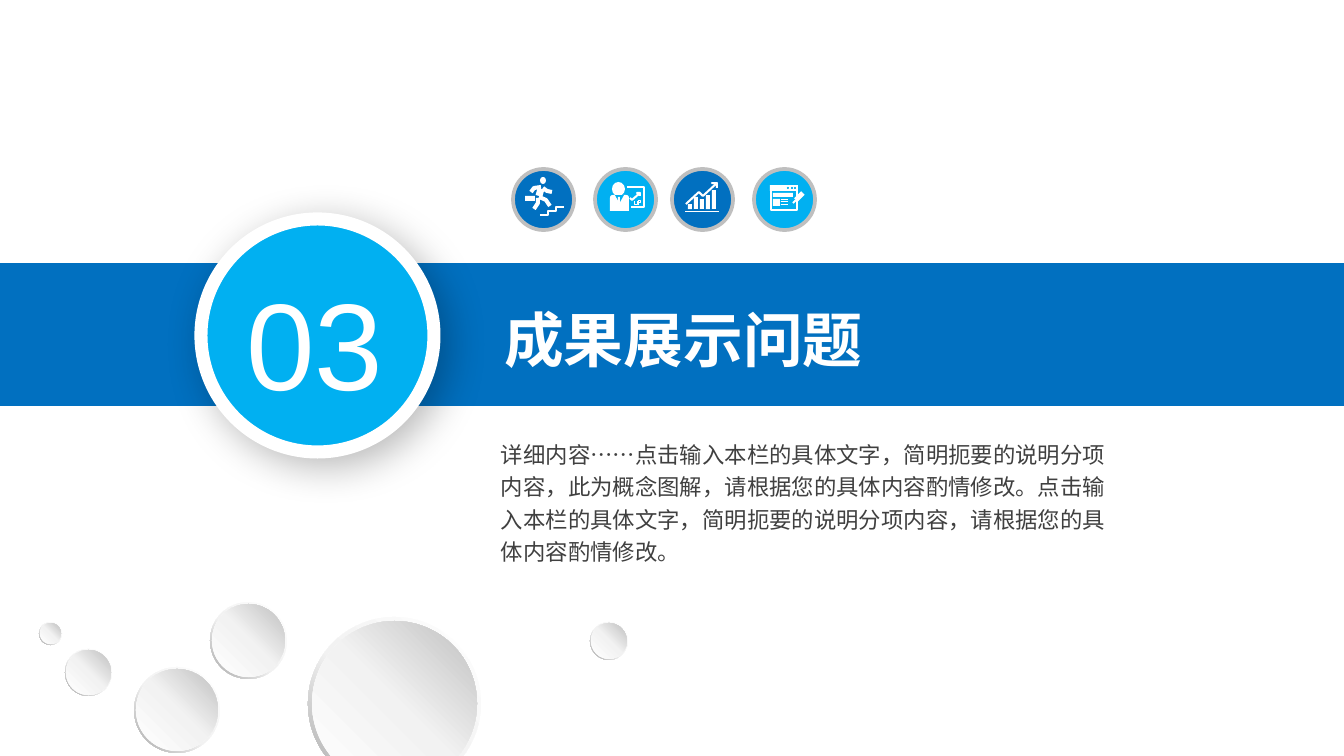
from lxml import etree
from pptx import Presentation
from pptx.dml.color import RGBColor
from pptx.enum.shapes import MSO_SHAPE
from pptx.enum.text import MSO_ANCHOR, MSO_AUTO_SIZE, PP_ALIGN
from pptx.oxml import parse_xml
from pptx.oxml.ns import nsdecls, qn
from pptx.util import Pt

RECT, OVAL, DONUT = MSO_SHAPE.RECTANGLE, MSO_SHAPE.OVAL, MSO_SHAPE.DONUT
ROUND, WEDGE = MSO_SHAPE.ROUND_2_SAME_RECTANGLE, MSO_SHAPE.FLOWCHART_MERGE
TOP, NONE = MSO_ANCHOR.TOP, MSO_AUTO_SIZE.NONE
LEFT, CENTER = PP_ALIGN.LEFT, PP_ALIGN.CENTER
PX = 6804
HUES = {"blue": "0170C0", "sky": "01B0F1", "white": "FFFFFF", "pale": "F2F2F2",
        "ring": "BFBFBF", "edge": "A6A6A6", "text": "404040", "black": "000000"}


def draw(host, kind, box, hue, line=None, width=0):
    shape = host.add_shape(kind, *[n * PX for n in box])
    shape.shadow.inherit = False
    shape.fill.solid()
    shape.fill.fore_color.rgb = RGBColor.from_string(HUES[hue])
    if line:
        shape.line.color.rgb = RGBColor.from_string(HUES[line])
        shape.line.width = Pt(width)
    else:
        shape.line.fill.background()
    return shape


def write(shape, box, text, hue, pad, align, space, font):
    shape.left, shape.top, shape.width, shape.height = [n * PX for n in box]
    frame = shape.text_frame
    frame.text = text
    form = {"word_wrap": True, "auto_size": NONE, "vertical_anchor": TOP,
            "margin_left": pad[0] * PX, "margin_right": pad[0] * PX,
            "margin_top": pad[1] * PX, "margin_bottom": pad[1] * PX}
    for key, val in form.items():
        setattr(frame, key, val)
    para = frame.paragraphs[0]
    for key, val in {"alignment": align, "line_spacing": space, "space_before": Pt(0)}.items():
        setattr(para, key, val)
    run = para.runs[0].font
    for key, val in font.items():
        setattr(run, key, val)
    run.color.rgb = RGBColor.from_string(HUES[hue])


deck = Presentation()
deck.slide_width, deck.slide_height = 1344 * PX, 756 * PX
slide = deck.slides.add_slide(deck.slide_layouts[2])
shapes = slide.shapes
title, body = shapes.title, slide.placeholders[1]

band = draw(shapes, RECT, (0, 263, 1344, 143), "blue")
title.element.addprevious(band.element)
write(title, (491, 296, 520, 86), "成果展示问题", "white", (13, 7), LEFT, 1.0,
      {"name": "Arial", "size": Pt(32), "bold": True})
write(body, (492, 431, 626, 141),
      "详细内容……点击输入本栏的具体文字，简明扼要的说明分项内容，此为概念图解，"
      "请根据您的具体内容酌情修改。点击输入本栏的具体文字，简明扼要的说明分项内容，"
      "请根据您的具体内容酌情修改。", "text", (9, 5), LEFT, 1.2,
      {"name": "Arial", "size": Pt(12), "bold": False})

stairs = []
for step in range(3):
    x, y = 27 + 8 * step, 46 - 4 * step
    stairs += [(x, y), (x + 8, y)]
limbs = [
    (4, [(28, 18), (21, 19), (18, 23)]),
    (4, [(30, 19), (34, 22), (39, 23)]),
    (4, [(26, 28), (33, 31), (37, 37)]),
    (4, [(25, 29), (25, 34), (21, 40)]),
]
runner = {
    "left": 513, "hue": "blue",
    "parts": [(OVAL, (27, 8, 6, 7), "white"), (RECT, (12, 27, 10, 5), "white")],
    "lines": [(7, [(28, 20), (26, 27)]), *limbs, (2, stairs)],
}

arrows = {}
for name, line, size in [("rise", [(35, 29), (37, 31), (45, 24)], 3),
                         ("trend", [(14, 35), (27, 23), (31, 27), (45, 14)], 5)]:
    x, y = line[-1]
    arrows[name] = (2, line + [(x - size, y), (x, y), (x, y + size)])

board = [(32, 18), (49, 18), (49, 38), (36, 38)]
speaker = {
    "left": 595, "hue": "sky",
    "parts": [(OVAL, (17, 13, 13, 14), "white"), (ROUND, (15, 26, 19, 16), "white"),
              (WEDGE, (20, 26, 9, 8), "sky"), (RECT, (23, 28, 2, 6), "white")],
    "lines": [(2, board), arrows["rise"],
              (1, [(39, 32), (39, 35), (42, 35), (42, 32)]),
              (1, [(44, 36), (44, 32), (46, 32), (46, 34), (44, 34)])],
}

bars = [(RECT, (16 + 6 * i, top, 4, 40 - top), "white")
        for i, top in enumerate([35, 28, 30, 26, 21])]
chart = {
    "left": 672, "hue": "blue",
    "parts": [*bars, (RECT, (13, 42, 34, 1), "white")],
    "lines": [arrows["trend"]],
}

dots = [(OVAL, (x, 18, 2, 2), "sky") for x in (33, 37, 40)]
rows = [(RECT, (27, y, 7, 1), "white") for y in (30, 32, 35)]
form = {
    "left": 754, "hue": "sky",
    "parts": [(RECT, (16, 16, 28, 6), "white"), *dots, (RECT, (19, 24, 20, 4), "white"),
              (RECT, (19, 30, 7, 7), "white"), *rows],
    "lines": [(2, [(17, 22), (17, 41), (43, 41), (43, 22)]),
              (5, [(42, 31), (49, 24)]), (2, [(39, 34), (42, 31)])],
}

for icon in (runner, speaker, chart, form):
    left, top = icon["left"], 169
    group = shapes.add_group_shape().shapes
    draw(group, OVAL, (left, top, 61, 61), icon["hue"], "ring", 2)
    for kind, (x, y, wide, high), hue in icon["parts"]:
        draw(group, kind, (left + x, top + y, wide, high), hue)
    for width, line in icon["lines"]:
        start, *rest = [(left + x, top + y) for x, y in line]
        pen = group.build_freeform(*start, scale=PX)
        pen.add_line_segments(rest, close=False)
        stroke = pen.convert_to_shape()
        stroke.shadow.inherit = False
        stroke.fill.background()
        stroke.line.color.rgb = RGBColor.from_string(HUES["white"])
        stroke.line.width = width * PX

group = shapes.add_group_shape().shapes
badge = draw(group, OVAL, (201, 219, 233, 233), "sky", "white", 7)
glow = etree.SubElement(badge.element.spPr.find(qn("a:effectLst")), qn("a:outerShdw"),
                        blurRad=str(Pt(22)), dist=str(Pt(6)), dir="2700000",
                        algn="tl", rotWithShape="0")
tint = etree.SubElement(glow, qn("a:srgbClr"), val=HUES["black"])
etree.SubElement(tint, qn("a:alpha"), val="28000")
label = group.add_textbox(0, 0, PX, PX)
write(label, (227, 262, 176, 160), "03", "white", (9, 5), CENTER, 1.0,
      {"name": "Arial", "size": Pt(66)})

bubbles = [(134, 667, 86), (590, 622, 38), (308, 617, 173), (210, 602, 77),
           (65, 649, 47), (39, 622, 23)]
for x, y, size in bubbles:
    group = shapes.add_group_shape().shapes
    gap = round(size * 0.025)
    core = size - 2 * gap
    rim = draw(group, DONUT, (x, y, size, size), "pale")
    rim.adjustments[0] = 0.049
    ball = draw(group, OVAL, (x + gap, y + gap, core, core), "pale")
    for shape, mid, end, angle in [(rim, 55, "edge", 135), (ball, 51, "ring", 315)]:
        stops = "".join(f'<a:gs pos="{pos * 1000}"><a:srgbClr val="{HUES[hue]}"/></a:gs>'
                        for pos, hue in [(0, "white"), (mid, "pale"), (100, end)])
        fade = parse_xml(f'<a:gradFill {nsdecls("a")} rotWithShape="1"><a:gsLst>{stops}'
                         f'</a:gsLst><a:lin ang="{angle * 60000}" scaled="0"/></a:gradFill>')
        props = shape.element.spPr
        props.replace(props.find(qn("a:solidFill")), fade)

deck.save("out.pptx")
